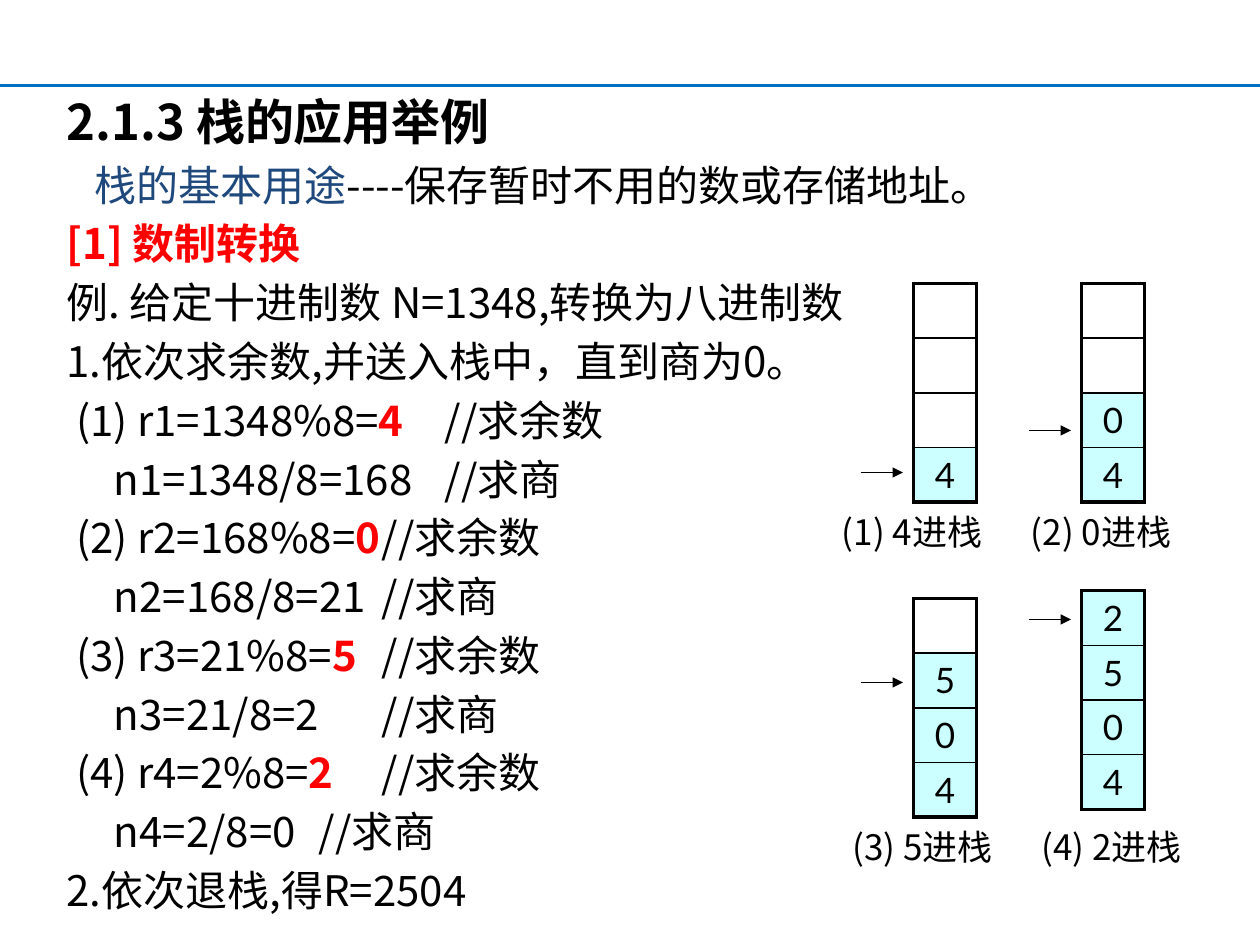
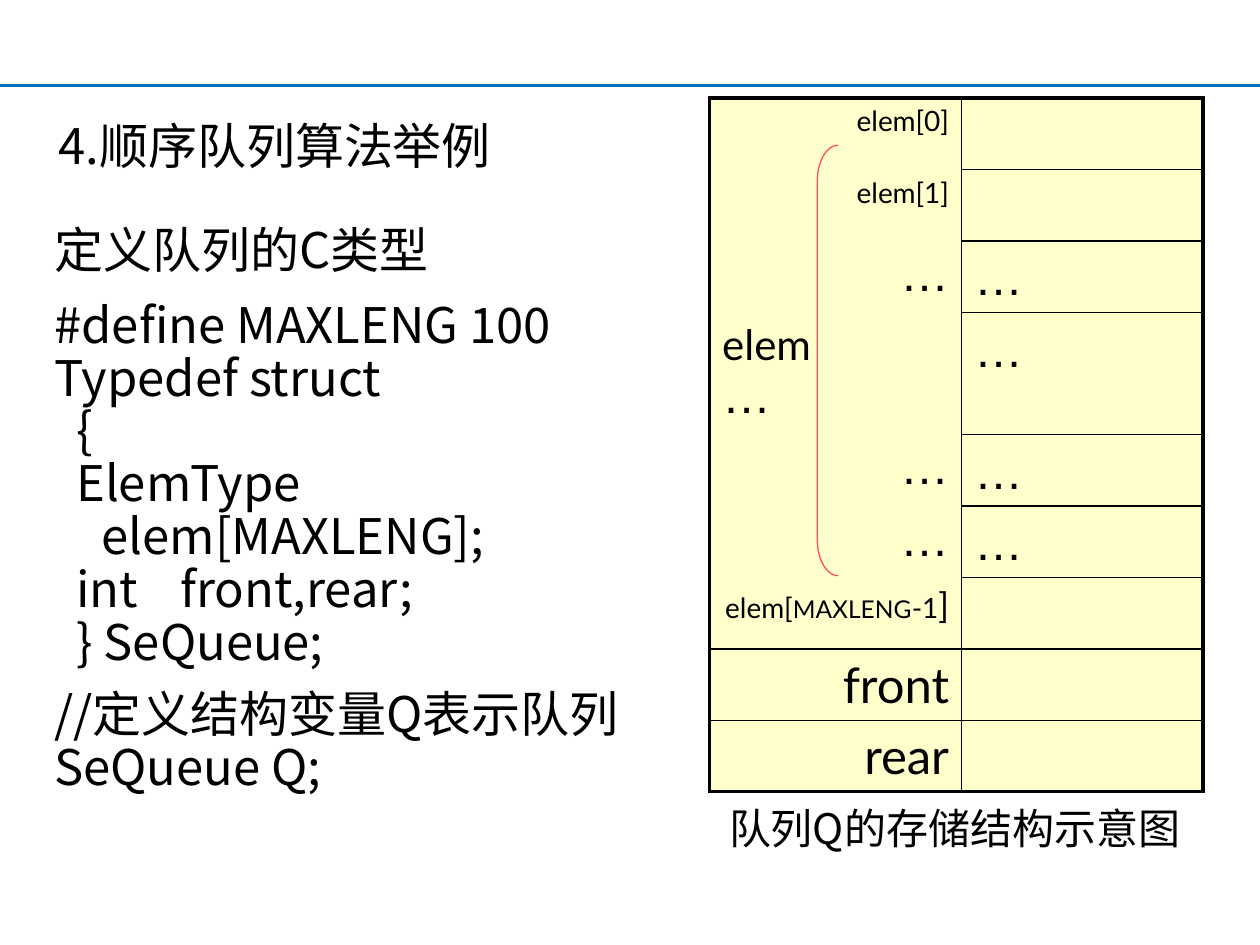
from lxml import etree
from pptx import Presentation
from pptx.dml.color import RGBColor
from pptx.enum.shapes import MSO_CONNECTOR, MSO_SHAPE
from pptx.enum.text import MSO_ANCHOR, PP_ALIGN
from pptx.oxml.ns import qn
from pptx.util import Pt

STRAIGHT = MSO_CONNECTOR.STRAIGHT
LEFT_BRACKET = MSO_SHAPE.LEFT_BRACKET
LEFT, CENTER, RIGHT = PP_ALIGN.LEFT, PP_ALIGN.CENTER, PP_ALIGN.RIGHT
MIDDLE = MSO_ANCHOR.MIDDLE

BLACK = RGBColor(0x00, 0x00, 0x00)
RED = RGBColor(0xFF, 0x00, 0x00)
NAVY = RGBColor(0x1F, 0x49, 0x7D)
BAND_BLUE = RGBColor(0x00, 0x70, 0xC0)
CYAN = RGBColor(0xCC, 0xFF, 0xFF)
CREAM = RGBColor(0xFF, 0xFF, 0xCC)
BRACKET_RED = RGBColor(0xFF, 0x50, 0x50)
CJK_FONT, LATIN_FONT, DOTS_FONT = "Noto Sans CJK SC", "Lato", "Arial"
THIN, THICK = 1, 2.25


def style_paragraph(paragraph, size, font=CJK_FONT, left=0, first=0, tab=None):
    """Set font, line pitch, indents and an optional tab stop, in points."""
    paragraph.font.size = Pt(size)
    paragraph.font.name = font
    paragraph.font.color.rgb = BLACK
    paragraph.line_spacing = Pt(size * 1.2)
    properties = paragraph._p.get_or_add_pPr()
    properties.set("marL", str(Pt(left)))
    properties.set("indent", str(Pt(first)))
    if tab:
        stops = etree.Element(qn("a:tabLst"))
        etree.SubElement(stops, qn("a:tab"), pos=str(Pt(tab)), algn="l")
        properties.find(qn("a:defRPr")).addprevious(stops)


def style_cell(cell, fill, left, right, top, bottom):
    """Fill a cell and draw its borders; a width of 0 means no border."""
    if fill is None:
        cell.fill.background()
    else:
        cell.fill.solid()
        cell.fill.fore_color.rgb = fill
    properties = cell._tc.get_or_add_tcPr()
    for place, (side, width) in enumerate(zip("LRTB", (left, right, top, bottom))):
        line = etree.Element(qn("a:ln" + side), w=str(Pt(width)))
        if width:
            color = etree.SubElement(line, qn("a:solidFill"))
            etree.SubElement(color, qn("a:srgbClr"), val=str(BLACK))
        else:
            etree.SubElement(line, qn("a:noFill"))
        properties.insert(place, line)


prs = Presentation()
prs.slide_width, prs.slide_height = Pt(720), Pt(540)
stack_slide = prs.slides.add_slide(prs.slide_layouts[6])
queue_slide = prs.slides.add_slide(prs.slide_layouts[5])

# Lines: the band under the header of both slides, and the stack pointers
lines = [(slide, 0, 720, 49, BAND_BLUE, 1.5) for slide in (stack_slide, queue_slide)]
lines += [(stack_slide, x, x + 24, y, BLACK, 0.75)
          for x, y in ((492, 270), (492, 390), (588, 246), (588, 354))]
for slide, start, end, y, color, width in lines:
    line = slide.shapes.add_connector(STRAIGHT, Pt(start), Pt(y), Pt(end), Pt(y))
    line.line.color.rgb = color
    line.line.width = Pt(width)
    if color == BLACK:
        etree.SubElement(line.line._get_or_add_ln(), qn("a:tailEnd"), type="triangle")
    etree.SubElement(line._element.spPr, qn("a:effectLst"))

# Slide 1: number conversion; each line has runs of (text, colour, bold), indent, tab
conversion = [
    ([("2.1.3 栈的应用举例", BLACK, True)], 0, None),
    ([("栈的基本用途", NAVY, False), ("----保存暂时不用的数或存储地址。", BLACK, False)], 16, None),
    ([("[1] 数制转换", RED, True)], 0, None),
    ([("例. 给定十进制数 N=1348,转换为八进制数", BLACK, False)], 0, None),
    ([("1.依次求余数,并送入栈中，直到商为0。", BLACK, False)], 0, None),
]
divisions = [(1348, 209), (168, 193), (21, 177), (2, 169)]
for step, (number, quotient_tab) in enumerate(divisions, 1):
    quotient, remainder = divmod(number, 8)
    conversion.append(([(f"({step}) r{step}={number}%8=", BLACK, False),
                        (str(remainder), RED, True),
                        ("\t//求余数", BLACK, False)], 5.4, 222 - 8 * step))
    conversion.append(([(f"n{step}={number}/8={quotient}\t//求商", BLACK, False)],
                       27, quotient_tab))
conversion.append(([("2.依次退栈,得R=2504", BLACK, False)], 0, None))

body = stack_slide.shapes.add_textbox(Pt(31), Pt(49), Pt(642), Pt(490)).text_frame
body.word_wrap = True
for number, (runs, indent, tab) in enumerate(conversion):
    paragraph = body.add_paragraph() if number else body.paragraphs[0]
    size = 24 if number else 28
    style_paragraph(paragraph, size, first=indent, tab=tab)
    paragraph.space_before = Pt(size * 0.2)
    for text, color, bold in runs:
        run = paragraph.add_run()
        run.text = text
        run.font.color.rgb = color
        run.font.bold = bold

stacks = [(522, 162, ["", "", "", "4"]), (618, 162, ["", "", "0", "4"]),
          (522, 342, ["", "5", "0", "4"]), (618, 337.5, ["2", "5", "0", "4"])]
for x, y, digits in stacks:
    stack = stack_slide.shapes.add_table(4, 1, Pt(x), Pt(y), Pt(36), Pt(125)).table
    stack.first_row = stack.horz_banding = False
    for row, digit in enumerate(digits):
        stack.rows[row].height = Pt(31.25)
        cell = stack.cell(row, 0)
        cell.text = digit
        style_paragraph(cell.text_frame.paragraphs[0], 20, LATIN_FONT)
        cell.text_frame.paragraphs[0].alignment = CENTER
        style_cell(cell, CYAN if digit else None, THICK, THICK,
                   THIN if row else THICK, THICK if row == 3 else THIN)

for x, y, text in ((474, 288, "(1) 4进栈\t(2) 0进栈"), (480, 468, "(3) 5进栈\t(4) 2进栈")):
    caption = stack_slide.shapes.add_textbox(Pt(x), Pt(y), Pt(225), Pt(31)).text_frame
    caption.text = text
    style_paragraph(caption.paragraphs[0], 20, tab=99)

# Slide 2: sequential queue
title = queue_slide.shapes.title
title.left, title.top, title.width, title.height = Pt(9), Pt(65), Pt(296), Pt(36)
title.text_frame.text = "4.顺序队列算法举例"
title.text_frame.vertical_anchor = MIDDLE
style_paragraph(title.text_frame.paragraphs[0], 28)
title.text_frame.paragraphs[0].alignment = CENTER

# Each line: text, left margin, first-line indent, tab stop, space before
definition = [
    ("定义队列的C类型", 0, 0, None, 0),
    ("#define MAXLENG 100", 0, 0, None, 12.6),
    ("Typedef struct", 0, 0, None, 0),
    ("{", 0, 12.5, None, 0),
    ("ElemType elem[MAXLENG];", 27, -14.5, None, 0),
    ("int\tfront,rear;", 0, 12.5, 73.5, 0),
    ("} SeQueue;", 0, 12.5, None, 0),
    ("//定义结构变量Q表示队列", 27, -27, None, 11),
    ("SeQueue Q;", 0, 0, None, 0),
]
code = queue_slide.shapes.add_textbox(Pt(24), Pt(125), Pt(354), Pt(315)).text_frame
code.word_wrap = True
for number, (text, left, first, tab, gap) in enumerate(definition):
    paragraph = code.add_paragraph() if number else code.paragraphs[0]
    paragraph.text = text
    style_paragraph(paragraph, 28, left=left, first=first, tab=tab)
    paragraph.line_spacing = Pt(30.25)
    paragraph.space_before = Pt(gap)

# Each row: runs of (text, size, font) in the name column, then the value column
dots = ("…", 28, DOTS_FONT)
storage = [
    ([("elem[0]", 16, LATIN_FONT)], ""),
    ([("elem[1]", 16, LATIN_FONT)], ""),
    ([dots], "…"),
    ([("elem\v", 24, LATIN_FONT), dots], "…"),
    ([dots], "…"),
    ([dots], "…"),
    ([("elem[", 16, LATIN_FONT), ("MAXLENG", 14, LATIN_FONT),
      ("-1", 16, LATIN_FONT), ("]", 20, LATIN_FONT)], ""),
    ([("front", 28, LATIN_FONT)], ""),
    ([("rear", 28, LATIN_FONT)], ""),
]
ELEM_ROW, LAST_ELEM, LAST_ROW = 3, 6, 8
queue = queue_slide.shapes.add_table(9, 2, Pt(405.5), Pt(56), Pt(282), Pt(396)).table
queue.first_row = queue.horz_banding = False
queue.columns[0].width, queue.columns[1].width = Pt(144), Pt(138)
for row, (names, value) in enumerate(storage):
    queue.rows[row].height = Pt(69.6 if row == ELEM_ROW else 40.8)
    name_cell, value_cell = queue.cell(row, 0), queue.cell(row, 1)
    paragraph = name_cell.text_frame.paragraphs[0]
    paragraph.alignment = LEFT if row == ELEM_ROW else RIGHT
    for text, size, font in names:
        run = paragraph.add_run()
        run.text = text.rstrip("\v")
        run.font.size = Pt(size)
        run.font.name = font
        run.font.color.rgb = BLACK
        if text.endswith("\v"):
            paragraph.add_line_break()
    value_cell.text = value
    style_paragraph(value_cell.text_frame.paragraphs[0], 28, DOTS_FONT)
    top = THIN if row else THICK
    bottom = THICK if row == LAST_ROW else THIN
    style_cell(name_cell, CREAM, THICK, THIN,
               0 if 0 < row <= LAST_ELEM else top, 0 if row < LAST_ELEM else bottom)
    style_cell(value_cell, CREAM, THIN, THICK, top, bottom)

caption = queue_slide.shapes.add_textbox(Pt(409.5), Pt(455), Pt(276), Pt(36)).text_frame
caption.word_wrap = True
caption.text = "队列Q的存储结构示意图"
style_paragraph(caption.paragraphs[0], 24)

bracket = queue_slide.shapes.add_shape(LEFT_BRACKET, Pt(467), Pt(83), Pt(12), Pt(246))
bracket.adjustments[0] = 1.71
bracket.shadow.inherit = False
bracket.fill.background()
bracket.line.color.rgb = BRACKET_RED
bracket.line.width = Pt(0.75)

prs.save("out.pptx")
